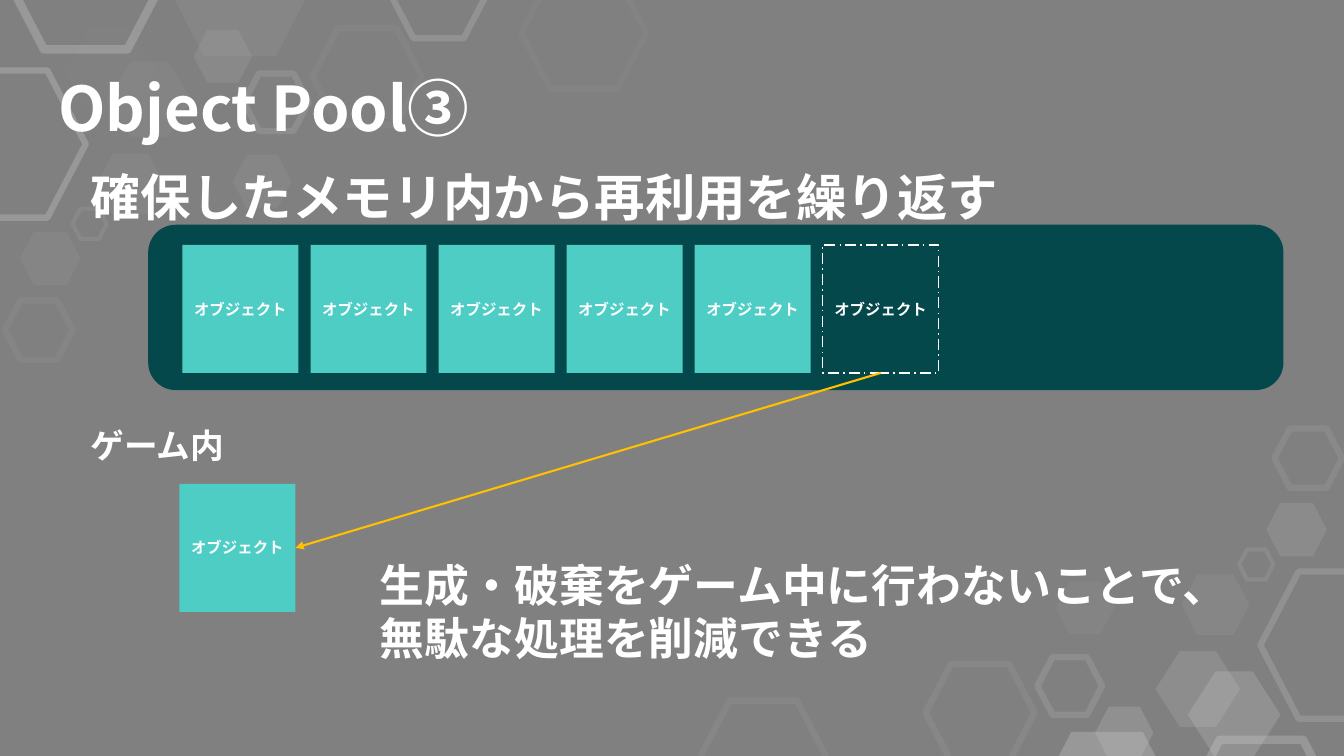
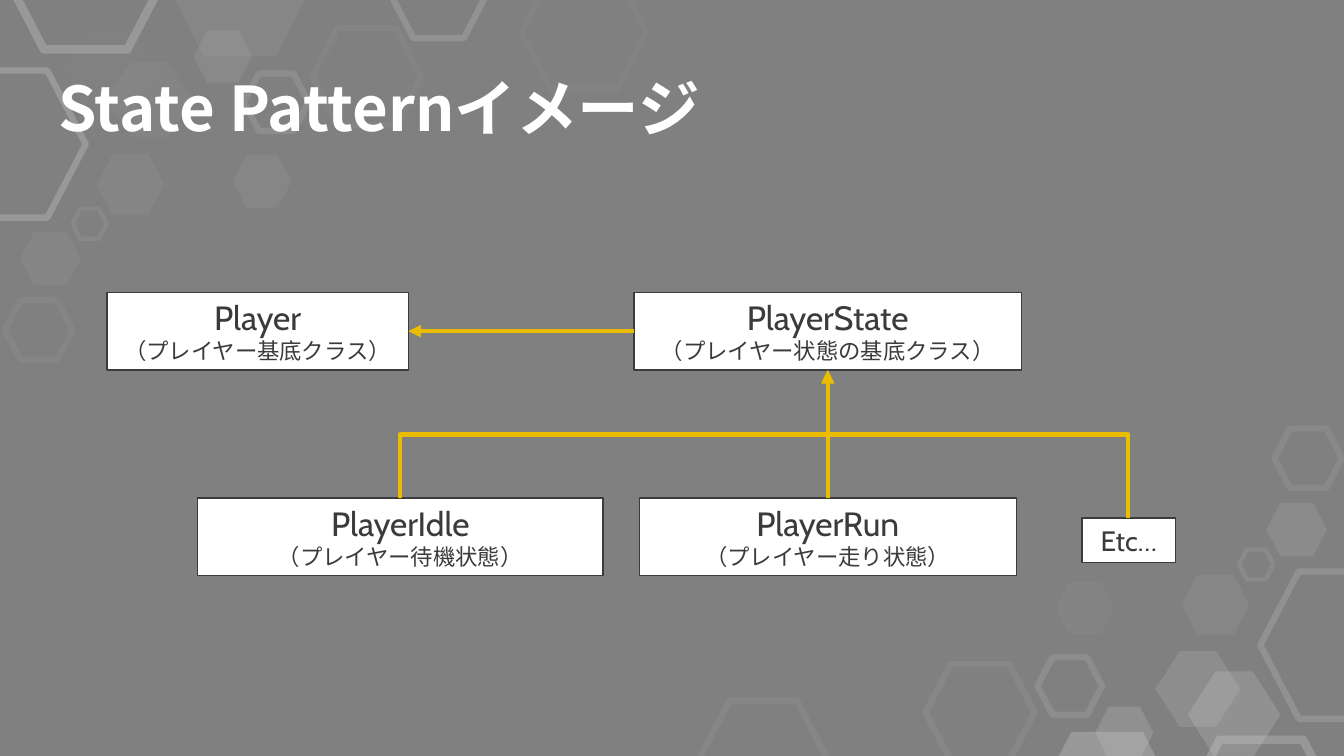
from lxml import etree
from pptx import Presentation
from pptx.dml.color import RGBColor
from pptx.enum.dml import MSO_LINE
from pptx.enum.shapes import MSO_CONNECTOR, MSO_SHAPE
from pptx.enum.text import MSO_ANCHOR, MSO_AUTO_SIZE, PP_ALIGN
from pptx.oxml.ns import qn
from pptx.util import Inches, Pt

RECT, ROUND_RECT, HEXAGON = MSO_SHAPE.RECTANGLE, MSO_SHAPE.ROUNDED_RECTANGLE, MSO_SHAPE.HEXAGON
STRAIGHT, ELBOW = MSO_CONNECTOR.STRAIGHT, MSO_CONNECTOR.ELBOW
LEFT, CENTER = PP_ALIGN.LEFT, PP_ALIGN.CENTER
TOP, MIDDLE = MSO_ANCHOR.TOP, MSO_ANCHOR.MIDDLE
FIT_SHAPE = MSO_AUTO_SIZE.SHAPE_TO_FIT_TEXT
LONG_DASH_DOT = MSO_LINE.LONG_DASH_DOT

GRAY = RGBColor(0x80, 0x80, 0x80)
WHITE = RGBColor(0xFF, 0xFF, 0xFF)
INK = RGBColor(0x3B, 0x3B, 0x3B)
DEEP_TEAL = RGBColor(0x05, 0x48, 0x4B)
TEAL = RGBColor(0x4E, 0xCD, 0xC4)
AMBER = RGBColor(0xFF, 0xC0, 0x00)
GOLD = RGBColor(0xEA, 0xBD, 0x00)
SILVER = RGBColor(0xD0, 0xCE, 0xCE)
LIGHT = RGBColor(0xD9, 0xD9, 0xD9)
PALE = RGBColor(0xE7, 0xE6, 0xE6)
MIST = RGBColor(0xF2, 0xF2, 0xF2)

JP_FONT, LATIN_FONT = "Noto Sans CJK JP", "Cabin"


def write(sp, lines, color=WHITE, font=JP_FONT, bold=True, align=LEFT, anchor=TOP):
    """Fill a shape with (text, size) paragraphs."""
    tf = sp.text_frame
    tf.vertical_anchor = anchor
    for i, (text, size) in enumerate(lines):
        p = tf.add_paragraph() if i else tf.paragraphs[0]
        p.text = text
        p.alignment = align
        p.font.size = Pt(size)
        p.font.bold = bold
        p.font.color.rgb = color
        p.font.name = font
        etree.SubElement(p.font._element, qn("a:ea"), typeface=JP_FONT)


def add_arrow(s, kind, x1, y1, x2, y2, color, width):
    """Draw a connector with a triangle at its end."""
    c = s.shapes.add_connector(kind, Inches(x1), Inches(y1), Inches(x2), Inches(y2))
    c.line.color.rgb = color
    c.line.width = Pt(width)
    etree.SubElement(c.line._get_or_add_ln(), qn("a:tailEnd"), type="triangle")
    etree.SubElement(c._element.spPr, qn("a:effectLst"))
    return c


prs = Presentation()
prs.slide_width, prs.slide_height = Inches(13.33), Inches(7.5)
layout = prs.slide_layouts[6]
for ph in list(layout.placeholders):
    ph.element.getparent().remove(ph.element)
layout.background.fill.solid()
layout.background.fill.fore_color.rgb = GRAY

# Slides with their titles
slides = []
for title, width in [("Object Pool③", 4.54), ("State Patternイメージ", 7)]:
    s = prs.slides.add_slide(layout)
    slides.append(s)
    sp = s.shapes.add_textbox(Inches(0.48), Inches(0.64), Inches(width), Inches(0.84))
    sp.text_frame.word_wrap = False
    sp.text_frame.auto_size = FIT_SHAPE
    write(sp, [(title, 44)])
pool, state = slides

# Shared hexagons: width, height, adjustment, colour, outline width (0 = filled),
# then left, top, opacity % in the top left and bottom right corners
hexagons = [
    (0.64, 0.57, 0.26, SILVER, 4.5, (2.42, 0.73, 16), (10.29, 6.52, 16)),
    (0.67, 0.59, 0.26, LIGHT, 4.5, (0.05, 2.98, 5), (12.64, 4.25, 10)),
    (1.08, 0.96, 0.26, SILVER, 4.5, (3.1, 0.28, 6), (9.18, 6.59, 10)),
    (1.5, 1.29, 0.26, SILVER, 6, (0.1, -0.8, 31), (11.76, 7.34, 30)),
    (0.34, 0.3, 0.26, PALE, 3, (0.72, 2.07, 8), (12.29, 5.45, 10)),
    (0.84, 0.75, 0.32, LIGHT, 0, (1.06, 0.61, 5), (11.46, 6.46, 15)),
    (0.58, 0.52, 0.26, LIGHT, 0, (1.92, 0.3, 11), (10.86, 7.01, 18)),
    (1.38, 1.29, 0.26, LIGHT, 0, (1.69, -0.73, 7), (10.29, 7.26, 27)),
    (1.7, 1.46, 0.26, LIGHT, 4.5, (-0.85, 0.7, 28), (12.5, 5.67, 20)),
    (0.92, 0.81, 0.26, SILVER, 4.5, (3.89, -0.43, 24), None),
    (0.92, 0.86, 0.32, LIGHT, 0, (0.63, 0.27, 2), (11.78, 6.66, 20)),
    (0.58, 0.52, 0.26, LIGHT, 0, (2.31, 1.54, 8), (10.47, 5.77, 5)),
    (0.67, 0.6, 0.26, LIGHT, 0, (0.96, 1.53, 6), (11.72, 5.7, 8)),
    (1.24, 1.1, 0.26, SILVER, 4.5, (5.17, -0.22, 3), (6.95, 6.95, 8)),
    (0.6, 0.53, 0.26, MIST, 0, (0.2, 2.3, 5), (12.56, 4.99, 10)),
]
for w, h, adj, color, outline, *corners in hexagons:
    for rotation, corner in zip((0, 180), corners):
        if corner is None:
            continue
        x, y, opacity = corner
        sp = pool.shapes.add_shape(HEXAGON, Inches(x), Inches(y), Inches(w), Inches(h))
        sp.adjustments[0] = adj
        sp.rotation = rotation
        sp.shadow.inherit = False
        if outline:
            sp.fill.background()
            sp.line.color.rgb = color
            sp.line.width = Pt(outline)
        else:
            sp.fill.solid()
            sp.fill.fore_color.rgb = color
            sp.line.fill.background()
        clr = sp._element.spPr.find(".//" + qn("a:srgbClr"))
        etree.SubElement(clr, qn("a:alpha"), val=str(opacity * 1000))
        layout.shapes.element.append(sp._element)

# Object pool: memory panel
sp = pool.shapes.add_shape(ROUND_RECT, Inches(1.47), Inches(2.23), Inches(11.26), Inches(1.64))
sp.shadow.inherit = False
sp.fill.solid()
sp.fill.fore_color.rgb = DEEP_TEAL
sp.line.fill.background()

# Object pool: captions
captions = [
    (0.8, 1.6, 9.29, 0.71, 36, ["確保したメモリ内から再利用を繰り返す"]),
    (0.8, 4.17, 1.55, 0.5, 24, ["ゲーム内"]),
    (3.67, 5.48, 8.73, 1.18, 32,
     ["生成・破棄をゲーム中に行わないことで、", "無駄な処理を削減できる"]),
]
for x, y, w, h, size, lines in captions:
    sp = pool.shapes.add_textbox(Inches(x), Inches(y), Inches(w), Inches(h))
    sp.text_frame.word_wrap = False
    sp.text_frame.auto_size = FIT_SHAPE
    write(sp, [(line, size) for line in lines])

# Object pool: six slots, the last one vacated, and the object in the game
SLOTS = 6
places = [(1.81 + 1.27 * i, 2.43) for i in range(SLOTS)] + [(1.78, 4.8)]
objects = []
for i, (x, y) in enumerate(places):
    sp = pool.shapes.add_shape(RECT, Inches(x), Inches(y), Inches(1.15), Inches(1.27))
    sp.shadow.inherit = False
    if i == SLOTS - 1:
        sp.fill.background()
        sp.line.color.rgb = WHITE
        sp.line.width = Pt(1)
        sp.line.dash_style = LONG_DASH_DOT
    else:
        sp.fill.solid()
        sp.fill.fore_color.rgb = TEAL
        sp.line.fill.background()
    write(sp, [("オブジェクト", 11)], align=CENTER, anchor=MIDDLE)
    objects.append(sp)
c = add_arrow(pool, STRAIGHT, 8.73, 3.7, 2.93, 5.43, AMBER, 1.5)
c.begin_connect(objects[SLOTS - 1], 2)
c.end_connect(objects[SLOTS], 3)

# State pattern: class boxes
classes = [
    (1.06, 2.9, 2.99, 0.77, [("Player", 24), ("（プレイヤー基底クラス）", 16)]),
    (6.29, 2.9, 3.84, 0.77, [("PlayerState", 24), ("（プレイヤー状態の基底クラス）", 16)]),
    (1.96, 4.94, 4.02, 0.77, [("PlayerIdle", 24), ("（プレイヤー待機状態）", 16)]),
    (6.34, 4.94, 3.74, 0.77, [("PlayerRun", 24), ("（プレイヤー走り状態）", 16)]),
    (10.73, 5.14, 0.93, 0.44, [("Etc…", 20)]),
]
boxes = []
for x, y, w, h, lines in classes:
    sp = state.shapes.add_shape(RECT, Inches(x), Inches(y), Inches(w), Inches(h))
    sp.shadow.inherit = False
    sp.fill.solid()
    sp.fill.fore_color.rgb = WHITE
    sp.line.color.rgb = INK
    sp.line.width = Pt(1)
    sp.text_frame.auto_size = FIT_SHAPE
    write(sp, lines, color=INK, font=LATIN_FONT, bold=False, align=CENTER)
    boxes.append(sp)
player, player_state, idle, run, etc = boxes

# State pattern: straight arrows
for start, start_side, end, end_side in [(player_state, 1, player, 3), (run, 0, player_state, 2)]:
    c = add_arrow(state, STRAIGHT, 0, 0, 1, 1, GOLD, 3)
    c.begin_connect(start, start_side)
    c.end_connect(end, end_side)

# State pattern: elbows up to PlayerState, laid flat and turned a quarter left
END_X, END_Y, BUS_Y = 8.21, 3.68, 4.31
for x, y in [(3.97, 4.94), (11.19, 5.14)]:
    cx, cy = (x + END_X) / 2, (y + END_Y) / 2
    rise, run_half = y - END_Y, (x - END_X) / 2
    c = add_arrow(state, ELBOW, cx - rise / 2, cy + run_half,
                  cx + rise / 2, cy - run_half, GOLD, 3)
    spPr = c._element.spPr
    spPr.find(qn("a:xfrm")).set("rot", str(270 * 60000))
    bend = round((y - BUS_Y) / rise * 100000)
    etree.SubElement(spPr.find(qn("a:prstGeom")).find(qn("a:avLst")), qn("a:gd"),
                     name="adj1", fmla=f"val {bend}")

prs.save("out.pptx")
